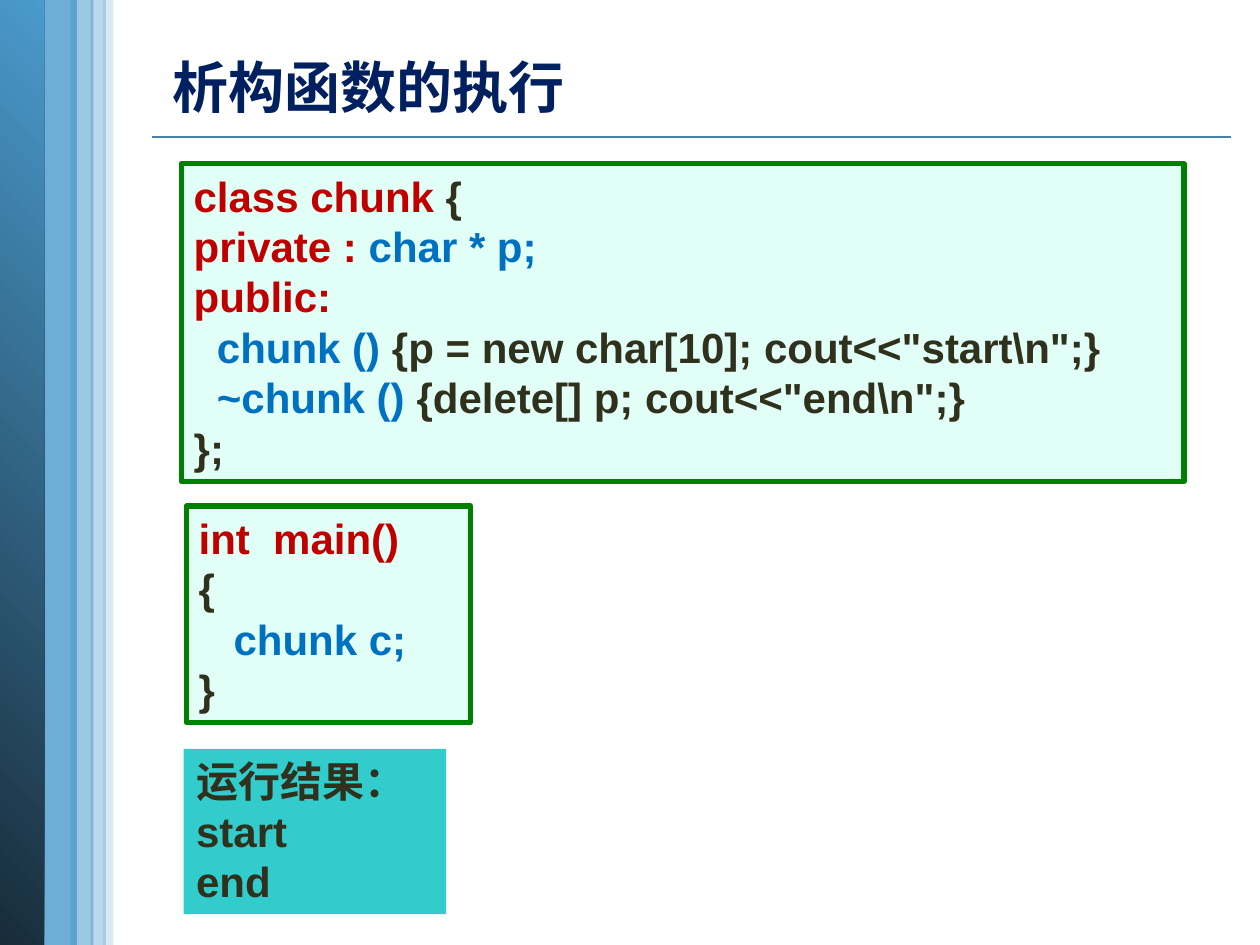
from lxml.etree import SubElement
from pptx import Presentation
from pptx.dml.color import RGBColor
from pptx.enum.shapes import MSO_CONNECTOR, MSO_SHAPE
from pptx.enum.text import MSO_ANCHOR, PP_ALIGN
from pptx.oxml.ns import qn
from pptx.util import Pt

COLORS = {
    "white": "FFFFFF",
    "bar": "4A9ACC",
    "bar_dark": "182C3A",
    "rule": "4582A7",
    "title": "002060",
    "red": "C00000",
    "blue": "0070C0",
    "dark": "30311D",
    "code_fill": "E1FFF7",
    "code_line": "008000",
    "result_fill": "33CCCC",
}

CLASS_CODE = [
    [("class chunk", "red"), (" {", "dark")],
    [("private : ", "red"), ("char * p;", "blue")],
    [("public:", "red")],
    [("  chunk () ", "blue"), ('{p = new char[10]; cout<<"start\\n";}', "dark")],
    [("  ~chunk () ", "blue"), ('{delete[] p; cout<<"end\\n";}', "dark")],
    [("};", "dark")],
]
MAIN_CODE = [
    [("int  main()", "red")],
    [("{", "dark")],
    [("   chunk c;", "blue")],
    [("}", "dark")],
]
RESULT = [[(line, "dark")] for line in ("运行结果：", "start", "end")]


def rgb(name):
    return RGBColor.from_string(COLORS[name])


def add_run(p, text, *, color, size=24, bold=True, font="Arial"):
    r = p.add_run()
    r.text = text
    r.font.name = font
    r.font.size = Pt(size)
    r.font.bold = bold
    r.font.color.rgb = rgb(color)


def add_rect(s, x, y, w, h):
    sp = s.shapes.add_shape(MSO_SHAPE.RECTANGLE, Pt(x), Pt(y), Pt(w), Pt(h))
    sp.shadow.inherit = False
    sp.line.fill.background()
    return sp


def add_bar(s, x, w, alpha):
    sp = add_rect(s, x, 0, w, 540)
    sp.fill.solid()
    sp.fill.fore_color.rgb = rgb("bar")
    clr = sp.fill._xPr.find(qn("a:solidFill"))[0]
    SubElement(clr, qn("a:alpha"), val=str(alpha * 1000))


def add_gradient_bar(s, x, w):
    sp = add_rect(s, x, 0, w, 540)
    sp.fill.gradient()
    sp.fill.gradient_angle = 45
    for stop, color in zip(sp.fill.gradient_stops, ("bar_dark", "bar")):
        stop.color.rgb = rgb(color)


def add_rule(s, x1, x2, y):
    c = s.shapes.add_connector(MSO_CONNECTOR.STRAIGHT, Pt(x1), Pt(y), Pt(x2), Pt(y))
    c.line.color.rgb = rgb("rule")
    c.line.width = Pt(1)
    SubElement(c._element.spPr, qn("a:effectLst"))


def add_panel(s, x, y, w, h, lines, fill, line=None):
    sp = add_rect(s, x, y, w, h)
    sp.fill.solid()
    sp.fill.fore_color.rgb = rgb(fill)
    if line:
        sp.line.color.rgb = rgb(line)
        sp.line.width = Pt(3)
    tf = sp.text_frame
    tf.word_wrap = True
    tf.vertical_anchor = MSO_ANCHOR.TOP
    for i, runs in enumerate(lines):
        p = tf.paragraphs[0] if i == 0 else tf.add_paragraph()
        p.alignment = PP_ALIGN.LEFT
        for text, color in runs:
            add_run(p, text, color=color)


def add_title(s, text):
    sp = s.shapes.add_textbox(Pt(91.5), Pt(26.6), Pt(242), Pt(46))
    sp.text_frame.word_wrap = False
    add_run(sp.text_frame.paragraphs[0], text, color="title", size=32)


def main():
    prs = Presentation()
    prs.slide_width, prs.slide_height = Pt(720), Pt(540)
    s = prs.slides.add_slide(prs.slide_layouts[6])
    s.background.fill.solid()
    s.background.fill.fore_color.rgb = rgb("white")

    add_rule(s, 86.6, 703.5, 78.5)
    add_bar(s, 21.6, 22.3, 80)
    add_gradient_bar(s, 0, 25.2)
    for x, w, alpha in ((59, 5.8, 20), (40.3, 13, 54), (51.8, 8.8, 37)):
        add_bar(s, x, w, alpha)

    add_panel(s, 103.6, 93.6, 573, 181.5, CLASS_CODE, "code_fill", "code_line")
    add_panel(s, 106.4, 289.2, 162.5, 123.6, MAIN_CODE, "code_fill", "code_line")
    add_panel(s, 105, 428, 150, 94.4, RESULT, "result_fill")
    add_title(s, "析构函数的执行")
    prs.save("out.pptx")


if __name__ == "__main__":
    main()
